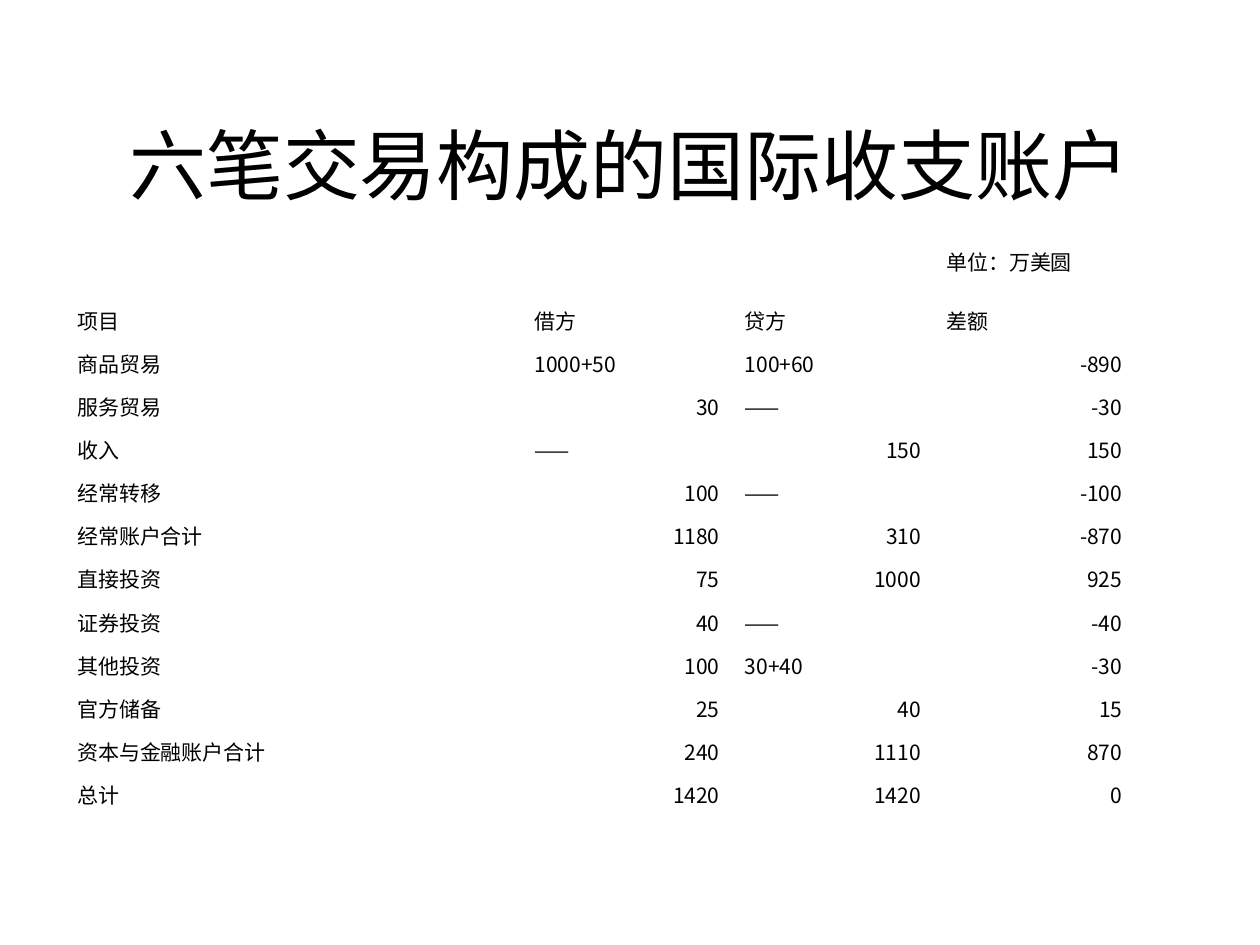
from dataclasses import dataclass

from pptx import Presentation
from pptx.dml.color import RGBColor
from pptx.enum import text
from pptx.util import Cm, Pt

COLORS = {"ink": "000000", "paper": "FFFFFF"}
TITLE_FONT = "Times New Roman"
TABLE_FONT = "Noto Sans CJK SC"
COLUMN_WIDTHS = (9.22, 4.24, 4.06, 4.06)
UNIT_ROW_HEIGHT, ROW_HEIGHT = 1.5, 0.85
HANGING = Cm(0.95)


@dataclass(frozen=True)
class Entry:
    item: str
    debit: str
    credit: str
    balance: str


ENTRIES = (
    Entry("", "", "", "单位：万美圆"),
    Entry("项目", "借方", "贷方", "差额"),
    Entry("商品贸易", "1000+50", "100+60", "-890"),
    Entry("服务贸易", "30", "——", "-30"),
    Entry("收入", "——", "150", "150"),
    Entry("经常转移", "100", "——", "-100"),
    Entry("经常账户合计", "1180", "310", "-870"),
    Entry("直接投资", "75", "1000", "925"),
    Entry("证券投资", "40", "——", "-40"),
    Entry("其他投资", "100", "30+40", "-30"),
    Entry("官方储备", "25", "40", "15"),
    Entry("资本与金融账户合计", "240", "1110", "870"),
    Entry("总计", "1420", "1420", "0"),
)


def style_paragraph(paragraph, font_name: str, size: float) -> None:
    font = paragraph.font
    font.name = font_name
    font.size = Pt(size)
    font.color.rgb = RGBColor.from_string(COLORS["ink"])


def add_title(page, wording: str) -> None:
    box = page.shapes.title
    box.left, box.top, box.width, box.height = Cm(1.9), Cm(1.7), Cm(21.6), Cm(3.18)
    frame = box.text_frame
    frame.text = wording
    frame.word_wrap = True
    frame.auto_size = text.MSO_AUTO_SIZE.NONE
    frame.vertical_anchor = text.MSO_ANCHOR.MIDDLE
    paragraph = frame.paragraphs[0]
    paragraph.alignment = text.PP_ALIGN.CENTER
    style_paragraph(paragraph, TITLE_FONT, 44)


def fill_cell(cell, wording: str) -> None:
    """Write one cell; plain numbers are right-aligned."""
    cell.fill.background()
    cell.vertical_anchor = text.MSO_ANCHOR.MIDDLE
    cell.text = wording
    paragraph = cell.text_frame.paragraphs[0]
    is_number = wording.removeprefix("-").isdigit()
    paragraph.alignment = text.PP_ALIGN.RIGHT if is_number else text.PP_ALIGN.LEFT
    properties = paragraph._p.get_or_add_pPr()
    properties.set("marL", str(HANGING))
    properties.set("indent", str(-HANGING))
    style_paragraph(paragraph, TABLE_FONT, 12)


def add_accounts(page, entries: tuple[Entry, ...]) -> None:
    heights = [UNIT_ROW_HEIGHT] + [ROW_HEIGHT] * (len(entries) - 1)
    table = page.shapes.add_table(
        len(entries), len(COLUMN_WIDTHS), Cm(1.3), Cm(4.52),
        Cm(sum(COLUMN_WIDTHS)), Cm(sum(heights)),
    ).table
    table.first_row = table.horz_banding = False
    for column, width in zip(table.columns, COLUMN_WIDTHS):
        column.width = Cm(width)
    for row, height, entry in zip(table.rows, heights, entries):
        row.height = Cm(height)
        values = (entry.item, entry.debit, entry.credit, entry.balance)
        for cell, wording in zip(row.cells, values):
            fill_cell(cell, wording)


def main() -> None:
    deck = Presentation()
    deck.slide_width, deck.slide_height = Cm(25.4), Cm(19.05)
    page = deck.slides.add_slide(deck.slide_layouts.get_by_name("Title Only"))
    page.background.fill.solid()
    page.background.fill.fore_color.rgb = RGBColor.from_string(COLORS["paper"])
    add_title(page, "六笔交易构成的国际收支账户")
    add_accounts(page, ENTRIES)
    deck.save("out.pptx")


if __name__ == "__main__":
    main()
